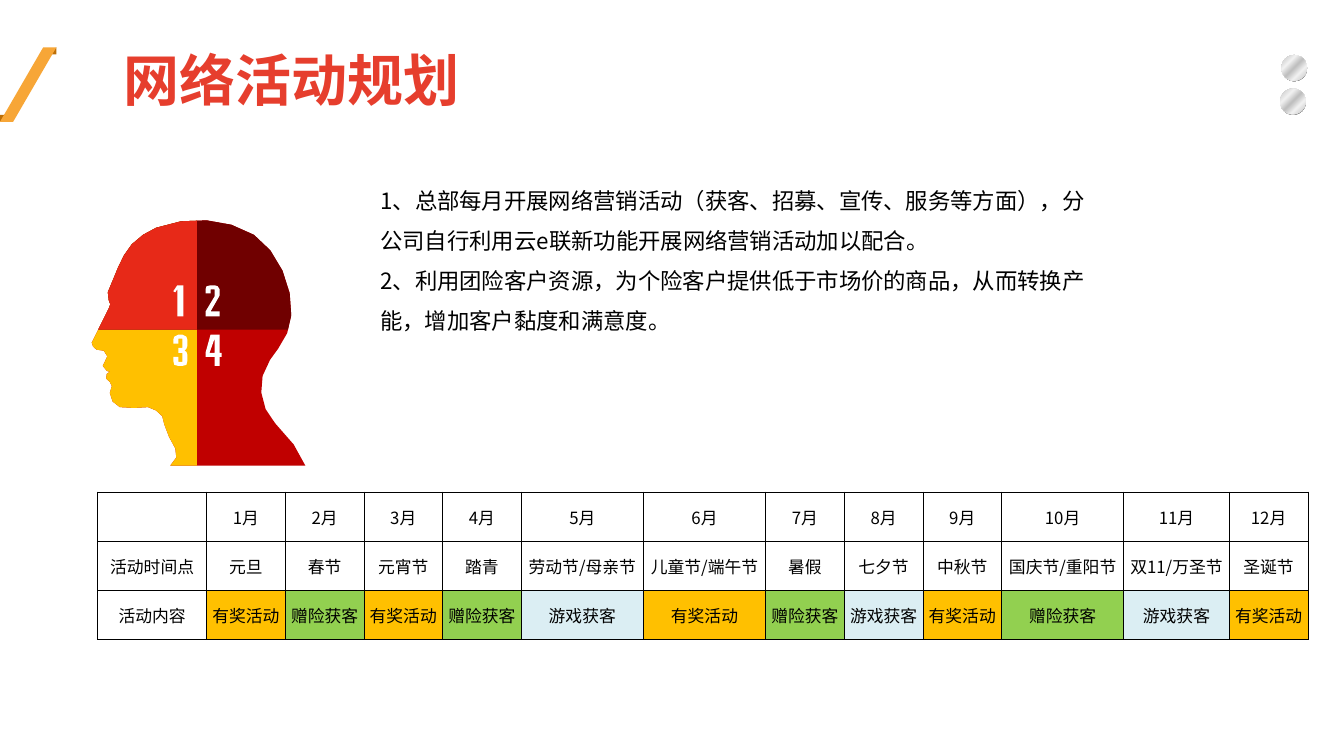
import lxml.etree
import pptx
import pptx.dml.color
import pptx.enum.shapes
import pptx.enum.text
import pptx.oxml.ns
import pptx.util

RGB = pptx.dml.color.RGBColor
SHAPE = pptx.enum.shapes.MSO_SHAPE
CENTER = pptx.enum.text.PP_ALIGN.CENTER
FONT = "Noto Sans CJK SC"

BLACK, WHITE = RGB(0x00, 0x00, 0x00), RGB(0xFF, 0xFF, 0xFF)
TITLE_RED, BRIGHT_RED = RGB(0xE6, 0x3E, 0x2D), RGB(0xE7, 0x29, 0x18)
DEEP_RED, MAROON = RGB(0xC0, 0x00, 0x00), RGB(0x70, 0x00, 0x00)
AMBER, GREEN, PALE_BLUE = RGB(0xFF, 0xC0, 0x00), RGB(0x92, 0xD0, 0x50), RGB(0xDB, 0xEE, 0xF3)
ORANGE, BROWN = RGB(0xF7, 0xA6, 0x37), RGB(0xBD, 0x6F, 0x07)
GREY_D9, GREY_80 = RGB(0xD9, 0xD9, 0xD9), RGB(0x80, 0x80, 0x80)
GREY_BF, GREY_F2 = RGB(0xBF, 0xBF, 0xBF), RGB(0xF2, 0xF2, 0xF2)
RIM_STOPS = [(28, GREY_D9), (100, GREY_80)]
METAL_STOPS = [(0, GREY_BF), (30, GREY_F2), (50, GREY_BF), (70, GREY_F2), (100, GREY_BF)]

HEAD_GRID = 212
HEAD_MID_X, HEAD_MID_Y = 104.5, 113
HEAD = [
    (182, 206), (172.6, 192), (168.3, 175.6), (169.6, 159), (177, 143), (185, 132), (194, 116.6),
    (198, 99), (196.5, 77), (189.3, 54.5), (177.2, 34.3), (161, 19), (138.6, 9), (114, 4.6),
    (88.7, 5.6), (64, 12), (51, 19), (39.8, 28.4), (32.3, 39), (26.5, 50.7), (21, 64), (16, 76),
    (17, 84), (18.5, 88), (17, 92), (3, 120), (0, 126), (1.4, 130), (5, 133), (12, 134),
    (15.5, 139.5), (13, 145), (11, 149), (15, 154), (18, 155), (15, 157), (14.3, 161.6),
    (18, 165), (20, 169), (18, 176), (20.8, 184.5), (28, 190), (42, 190.8), (56, 190),
    (64, 193.4), (70, 199), (72, 207), (76.8, 219.6), (83, 231), (84, 240), (78, 248),
    (212, 248), (200.4, 227),
]
DIGITS = [
    [[(91, 69), (91, 100), (85, 100), (85, 73), (83, 76), (81, 75), (85, 69)]],
    [[(126, 81), (127, 79), (127, 73), (125, 70), (122, 69), (118, 69), (114, 70), (113, 73),
      (113, 77), (118, 77), (118, 73), (122, 73), (122, 80), (113, 95), (113, 100), (127, 100),
      (127, 95), (118, 95)]],
    [[(90, 118), (94, 120), (95, 123), (95, 129), (94, 132), (92, 134), (94, 135), (95, 138),
      (95, 144), (94, 148), (90, 149), (86, 149), (82, 148), (81, 144), (81, 140), (86, 140),
      (86, 145), (90, 145), (90, 136), (86, 136), (86, 131), (90, 131), (90, 122), (86, 122),
      (86, 127), (81, 127), (81, 123), (82, 120), (86, 118)]],
    [[(127, 118), (127, 136), (129, 136), (129, 140), (127, 140), (127, 149), (122, 149),
      (122, 140), (113, 140), (113, 136), (118, 118)], [(122, 136), (122, 122), (117, 136)]],
]

BODY = [
    "1、总部每月开展网络营销活动（获客、招募、宣传、服务等方面），分公司自行利用云e联新功能开展网络营销活动加以配合。",
    "2、利用团险客户资源，为个险客户提供低于市场价的商品，从而转换产能，增加客户黏度和满意度。",
]
FESTIVALS = ["元旦", "春节", "元宵节", "踏青", "劳动节/母亲节", "儿童节/端午节", "暑假",
             "七夕节", "中秋节", "国庆节/重阳节", "双11/万圣节", "圣诞节"]
PRIZE, GIFT, GAME = "有奖活动", "赠险获客", "游戏获客"
ACTIVITIES = [PRIZE, GIFT, PRIZE, GIFT, GAME, PRIZE, GIFT, GAME, PRIZE, GIFT, GAME, PRIZE]
ACTIVITY_FILLS = {PRIZE: AMBER, GIFT: GREEN, GAME: PALE_BLUE}
NARROW, WIDE = 56.2, 87.3
COL_WIDTHS = [77.8] + [NARROW] * 4 + [WIDE] * 2 + [NARROW] * 3 + [WIDE, 75.4, NARROW]

def write_text(tf, paragraphs, size, color=BLACK, bold=False, align=None, spacing=None):
    """Fill a text frame with paragraphs in one format."""
    for i, text in enumerate(paragraphs):
        p = tf.paragraphs[0] if i == 0 else tf.add_paragraph()
        p.alignment = align
        p.line_spacing = spacing
        r = p.add_run()
        r.text = text
        r.font.size = pptx.util.Pt(size)
        r.font.bold = bold
        r.font.color.rgb = color
        r.font.name = FONT
        add_xml(r.font._element, "a:ea", typeface=FONT)

def add_xml(parent, tag, **attributes):
    """Append a drawing element to its parent."""
    return lxml.etree.SubElement(parent, pptx.oxml.ns.qn(tag), **attributes)

def add_text(s, x, y, w, h, paragraphs, wrap=True, **fmt):
    """Add a text box."""
    tf = s.shapes.add_textbox(*map(pptx.util.Pt, (x, y, w, h))).text_frame
    tf.word_wrap = wrap
    write_text(tf, paragraphs, **fmt)

def finish(sp, fill):
    """Give a shape a plain fill without line or shadow."""
    sp.shadow.inherit = False
    sp.line.fill.background()
    sp.fill.solid()
    sp.fill.fore_color.rgb = fill

def add_preset(s, kind, x, y, w, h, fill):
    """Add a plain preset shape."""
    sp = s.shapes.add_shape(kind, *map(pptx.util.Pt, (x, y, w, h)))
    finish(sp, fill)
    return sp

def add_polygon(s, x, y, contours, fill, scale=1):
    """Draw closed contours whose points are relative to x, y."""
    fine = [[(px * 20, py * 20) for px, py in c] for c in contours]
    fb = s.shapes.build_freeform(*fine[0][0], scale=pptx.util.Pt(scale) / 20)
    fb.add_line_segments(fine[0][1:])
    for contour in fine[1:]:
        fb.move_to(*contour[0])
        fb.add_line_segments(contour[1:])
    finish(fb.convert_to_shape(pptx.util.Pt(x), pptx.util.Pt(y)), fill)

def clip(points, axis, limit):
    """Keep the part of a polygon below a limit on one axis."""
    kept = []
    for p, q in zip(points, points[1:] + points[:1]):
        if p[axis] <= limit:
            kept.append(p)
        if (p[axis] <= limit) != (q[axis] <= limit):
            t = (limit - p[axis]) / (q[axis] - p[axis])
            kept.append((p[0] + t * (q[0] - p[0]), p[1] + t * (q[1] - p[1])))
    return kept

def add_backdrop(s, w, h):
    """Lay a translucent white sheet over the background."""
    sp = add_preset(s, SHAPE.RECTANGLE, 0, 0, w, h, WHITE)
    color = sp.element.spPr.find(".//" + pptx.oxml.ns.qn("a:srgbClr"))
    add_xml(color, "a:alpha", val="45000")

def add_slash(s, x, y, w, h):
    """Draw the folded orange slash."""
    fold, band = 5, 9.4
    for fx, fy, turn in ((x, y + h - fold, 90), (x + w - fold, y, 270)):
        add_preset(s, SHAPE.RIGHT_TRIANGLE, fx, fy, fold, fold, BROWN).rotation = turn
    add_polygon(s, x, y, [[(w - band, 0), (w, 0), (band, h), (0, h)]], ORANGE)

def add_button(s, x, y, d):
    """Draw a round metal button."""
    for dy, stops in ((0.4, RIM_STOPS), (0, METAL_STOPS)):
        sp = add_preset(s, SHAPE.OVAL, x, y + dy, d, d, GREY_BF)
        sp.fill.gradient()
        sp.fill.gradient_angle = 315
        gs_list = sp.element.spPr.find(".//" + pptx.oxml.ns.qn("a:gsLst"))
        for gs in list(gs_list):
            gs_list.remove(gs)
        for pos, color in stops:
            add_xml(add_xml(gs_list, "a:gs", pos=str(pos * 1000)), "a:srgbClr", val=str(color))

def add_head(s, x, y, w):
    """Draw the numbered head in four coloured quarters."""
    scale = w / HEAD_GRID
    left, top = clip(HEAD, 0, HEAD_MID_X), clip(HEAD, 1, HEAD_MID_Y)
    quarter = clip(left, 1, HEAD_MID_Y)
    for part, fill in ((HEAD, DEEP_RED), (left, AMBER), (top, MAROON), (quarter, BRIGHT_RED)):
        add_polygon(s, x, y, [part], fill, scale)
    for digit in DIGITS:
        add_polygon(s, x, y, digit, WHITE, scale)

def format_cell(cell, fill):
    """Give a cell its margins, thin black borders and fill."""
    cell.margin_left = cell.margin_right = cell.margin_top = pptx.util.Pt(0.7)
    cell.margin_bottom = 0
    cell.vertical_anchor = pptx.enum.text.MSO_ANCHOR.MIDDLE
    for side in ("a:lnL", "a:lnR", "a:lnT", "a:lnB"):
        ln = add_xml(cell._tc.get_or_add_tcPr(), side, w="6350")
        add_xml(add_xml(ln, "a:solidFill"), "a:srgbClr", val=str(BLACK))
    if fill is None:
        cell.fill.background()
    else:
        cell.fill.solid()
        cell.fill.fore_color.rgb = fill

def add_calendar(s, x, y, w, h):
    """Add the table of monthly activities."""
    rows = [[""] + [f"{m}月" for m in range(1, 13)],
            ["活动时间点"] + FESTIVALS, ["活动内容"] + ACTIVITIES]
    box = map(pptx.util.Pt, (x, y, w, h))
    table = s.shapes.add_table(len(rows), len(COL_WIDTHS), *box).table
    table.first_row = table.horz_banding = False
    for column, width in zip(table.columns, COL_WIDTHS):
        column.width = pptx.util.Pt(width)
    for i, row in enumerate(rows):
        for j, text in enumerate(row):
            format_cell(table.cell(i, j), ACTIVITY_FILLS.get(text))
            if text:
                write_text(table.cell(i, j).text_frame, [text], size=12, align=CENTER)

def main():
    """Build and save the slide."""
    prs = pptx.Presentation()
    prs.slide_width, prs.slide_height = pptx.util.Pt(960), pptx.util.Pt(540)
    s = prs.slides.add_slide(prs.slide_layouts[6])
    add_backdrop(s, 960, 540)
    add_slash(s, 0, 33.8, 40.3, 53.3)
    add_button(s, 914.4, 63.3, 18.3)
    add_button(s, 915.3, 39.3, 18.3)
    add_text(s, 81.4, 28.8, 257, 55.4, ["网络活动规划"], False, size=40, color=TITLE_RED, bold=True)
    add_text(s, 264.6, 120.2, 532.8, 123.8, BODY, size=16, spacing=1.5)
    add_head(s, 65.5, 154.1, 152.6)
    add_calendar(s, 69.8, 351.4, sum(COL_WIDTHS), 105.3)
    prs.save("out.pptx")

if __name__ == "__main__":
    main()
